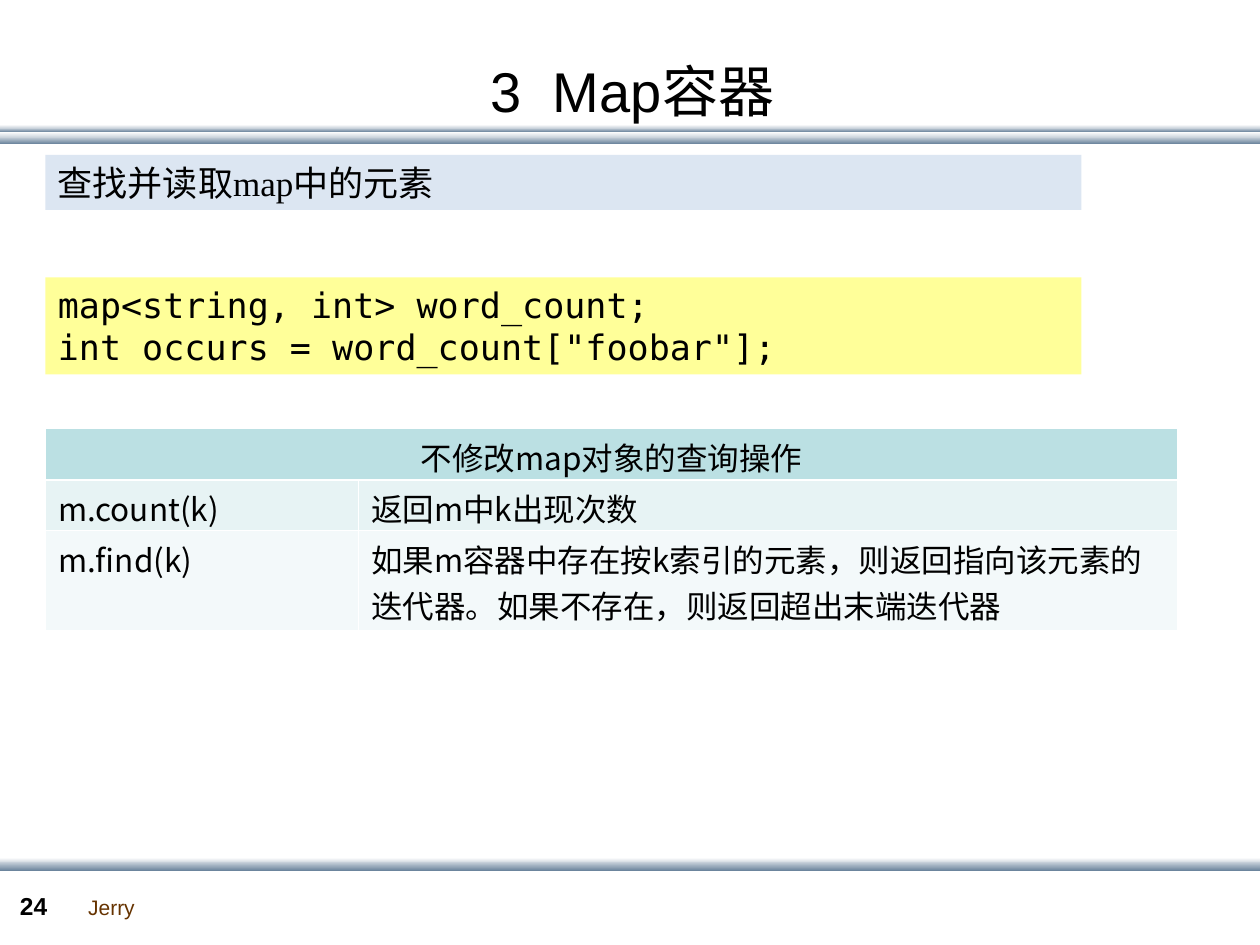
from dataclasses import dataclass

from lxml import etree
from pptx import Presentation
from pptx.dml import color
from pptx.enum import shapes, text
from pptx.oxml import ns
from pptx.util import Pt


@dataclass(frozen=True)
class Theme:
    """Colours, fonts and type sizes of the slide."""
    ink: str = "000000"
    brown: str = "663300"
    white: str = "FFFFFF"
    mist: str = "C8D1DA"
    steel: str = "6A839C"
    blue: str = "DCE6F2"
    yellow: str = "FFFF99"
    head: str = "BBE0E3"
    bands: tuple = ("E7F3F4", "F3F9FA")
    sans: str = "Arial"
    serif: str = "Times New Roman"
    mono: str = "DejaVu Sans Mono"
    han: str = "Noto Sans CJK SC"
    title: int = 32
    body: int = 20
    cell: int = 18
    page: int = 14
    foot: int = 12


T = Theme()
WIDTH, HEIGHT = 720, 540
LEFT = 26


def rgb(code):
    """Turn a hex code into a colour."""
    return color.RGBColor.from_string(code)


def write(frame, words, font=T.sans, size=T.body, ink=T.ink, bold=False,
          align=text.PP_ALIGN.LEFT, anchor=text.MSO_ANCHOR.TOP, wrap=True):
    """Fill a text frame, one paragraph for each line of words."""
    frame.word_wrap = wrap
    frame.vertical_anchor = anchor
    for i, line in enumerate(words.split("\n")):
        para = frame.paragraphs[0] if i == 0 else frame.add_paragraph()
        para.alignment = align
        run = para.add_run()
        run.text = line
        run.font.name = font
        run.font.size = Pt(size)
        run.font.bold = bold
        run.font.color.rgb = rgb(ink)
        latin = run.font._element.find(ns.qn("a:latin"))
        latin.addnext(etree.Element(ns.qn("a:ea"), typeface=T.han))


def block(slide, box):
    """Add a plain rectangle with no line or shadow."""
    rect = slide.shapes.add_shape(shapes.MSO_SHAPE.RECTANGLE, *map(Pt, box))
    rect.shadow.inherit = False
    rect.line.fill.background()
    return rect


def bar(slide, box, top, base):
    """Add a bar that shades from its top colour to its base colour."""
    fill = block(slide, box).fill
    fill.gradient()
    fill.gradient_angle = 270
    for stop, code in zip(fill.gradient_stops, (top, base)):
        stop.color.rgb = rgb(code)


def rules(slide):
    """Draw the shaded rules under the title and above the footer."""
    light, dark = (T.white, T.mist), (T.mist, T.steel)
    for y, high, tones in ((78.5, 3.8, dark), (73.3, 2.2, dark),
                           (75.5, 3.3, light), (71.3, 2.2, light),
                           (490.2, 3.3, light), (492.7, 5, dark)):
        bar(slide, (0, y, WIDTH, high), *tones)


def footer(slide, box):
    """Place the page number and the author side by side."""
    x, y, wide, high = box
    page = slide.shapes.add_textbox(Pt(x), Pt(y), Pt(40), Pt(high))
    write(page.text_frame, "24", size=T.page, bold=True)
    name = slide.shapes.add_textbox(Pt(x + 39), Pt(y + 2), Pt(wide - 39), Pt(high - 2))
    write(name.text_frame, "Jerry", size=T.foot, ink=T.brown, wrap=False)


def title(slide, box, words):
    """Move and fill the title placeholder."""
    head = slide.shapes.title
    head.left, head.top, head.width, head.height = map(Pt, box)
    write(head.text_frame, words, size=T.title, align=text.PP_ALIGN.CENTER,
          anchor=text.MSO_ANCHOR.MIDDLE)


def panel(slide, box, words, fill, font):
    """Add a filled panel of text."""
    rect = block(slide, box)
    rect.fill.solid()
    rect.fill.fore_color.rgb = rgb(fill)
    write(rect.text_frame, words, font=font)


def edge(cell, side, width):
    """Draw one white border of a cell."""
    line = etree.Element(ns.qn(f"a:ln{side}"), w=str(Pt(width)))
    fill = etree.SubElement(line, ns.qn("a:solidFill"))
    etree.SubElement(fill, ns.qn("a:srgbClr"), val=T.white)
    return line


def paint(cell, words, fill, align, top, base):
    """Fill one cell with text, colour and borders."""
    cell.margin_top, cell.margin_bottom = Pt(3), Pt(0)
    write(cell.text_frame, words, font=T.han, size=T.cell, align=align)
    cell.fill.solid()
    cell.fill.fore_color.rgb = rgb(fill)
    props = cell._tc.get_or_add_tcPr()
    widths = {"L": 0.45, "R": 0.45, "T": top, "B": base}
    for i, (side, width) in enumerate(widths.items()):
        props.insert(i, edge(cell, side, width))


def grid(slide, box, head, rows):
    """Add the table of operations under a merged heading."""
    table = slide.shapes.add_table(len(rows) + 1, 2, *map(Pt, box)).table
    for col, wide in zip(table.columns, (179, box[2] - 179)):
        col.width = Pt(wide)
    for row, high in zip(table.rows, (29.3, 29, 56.9)):
        row.height = Pt(high)
    table.cell(0, 0).merge(table.cell(0, 1))
    paint(table.cell(0, 0), head, T.head, text.PP_ALIGN.CENTER, 0.45, 1.47)
    for r, (row, fill) in enumerate(zip(rows, T.bands), 1):
        for c, words in enumerate(row):
            paint(table.cell(r, c), words, fill, text.PP_ALIGN.LEFT,
                  1.47 if r == 1 else 0.45, 0.45)


def main():
    """Build the slide and save it."""
    deck = Presentation()
    deck.slide_width, deck.slide_height = Pt(WIDTH), Pt(HEIGHT)
    slide = deck.slides.add_slide(deck.slide_layouts[5])
    rules(slide)
    footer(slide, (4.3, 505.5, 80, 24.5))
    title(slide, (16, 32, 691, 39.5), "3  Map容器")
    panel(slide, (LEFT, 88.5, 592, 31.5), "查找并读取map中的元素", T.blue, T.serif)
    panel(slide, (LEFT, 158.5, 592, 55.5),
          'map<string, int> word_count;\nint occurs = word_count["foobar"];',
          T.yellow, T.mono)
    grid(slide, (LEFT, 245, 647, 115.2), "不修改map对象的查询操作", (
        ("m.count(k)", "返回m中k出现次数"),
        ("m.find(k)", "如果m容器中存在按k索引的元素，则返回指向该元素"
                      "的迭代器。如果不存在，则返回超出末端迭代器")))
    deck.save("out.pptx")


if __name__ == "__main__":
    main()
